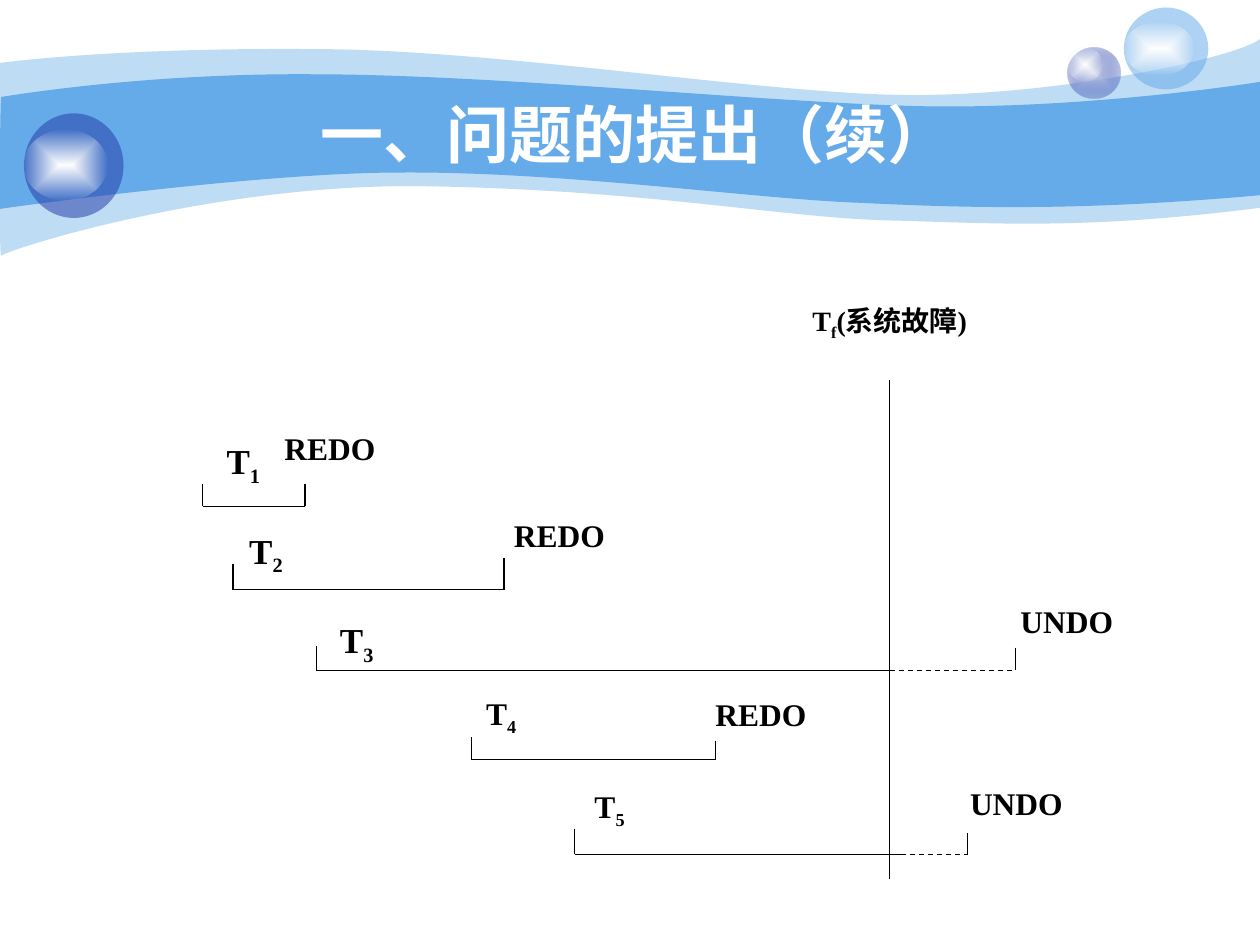
from lxml import etree
from pptx import Presentation
from pptx import util as u
from pptx.dml.color import RGBColor
from pptx.enum import dml, shapes, text
from pptx.oxml import ns

TITLE = "一、问题的提出（续）"
FONT = "Times New Roman"
BLUE, NAVY, WHITE, BLACK = "65AAE9", "233DA9", "FFFFFF", "000000"

# Wave outlines: a start point, then three points per curve or one per straight edge
PALE_WAVE = [
    (0, 0.5),
    [(0.24, 0.47), (1.07, 0.38), (2.47, 0.39)],
    [(3.86, 0.39), (5.75, 0.7), (6.99, 0.75)],
    [(8.22, 0.8), (9.8, 0.47), (10, 0.31)],
    [(10, 1.65)],
    [(8.58, 1.83), (7.87, 1.77), (7.05, 1.75)],
    [(6.22, 1.73), (5.15, 1.51), (3.43, 1.48)],
    [(1.72, 1.44), (0.04, 1.99), (0.01, 2.03)],
    [(-0.01, 2.08), (0, 0.75), (0, 0.5)],
]
BLUE_WAVE = [
    (0.01, 0.77),
    [(0.02, 0.77), (1.1, 0.58), (2.48, 0.59)],
    [(3.86, 0.59), (5.95, 0.8), (7.18, 0.84)],
    [(8.41, 0.88), (9.76, 0.69), (10, 0.65)],
    [(10, 1.55)],
    [(8.53, 1.68), (7.65, 1.65), (6.82, 1.61)],
    [(5.99, 1.58), (4.47, 1.36), (3.17, 1.37)],
    [(2.03, 1.37), (-0.02, 1.66), (-0.01, 1.66)],
    [(0, 1.66), (0, 0.77), (0.01, 0.77)],
]
WAVES = [(PALE_WAVE, 41), (BLUE_WAVE, 100)]

# Ball box, its colour stops as (colour, opacity), and the box of its highlight
BALLS = [
    ((8.47, 0.38, 0.42, 0.4), [("C7CEE9", 100), (NAVY, 31)], (8.47, 0.38, 0.28, 0.27)),
    ((8.92, 0.06, 0.67, 0.65), [(BLUE, 53)], (8.92, 0.17, 0.56, 0.43)),
    ((0.19, 0.9, 0.79, 0.83), [(NAVY, 53)], (0.19, 1.03, 0.66, 0.56)),
]
HIGHLIGHT = [(WHITE, 100), (WHITE, 0)]

FAILURE_X, FAILURE_TOP, FAILURE_BOTTOM = 7.06, 3.02, 6.98

# Baseline y, (x, top) of the start and end ticks, x where the line turns dashed
TRANSACTIONS = [
    (4.02, (1.61, 3.84), (2.42, 3.84), None),
    (4.68, (1.85, 4.48), (4, 4.43), None),
    (5.32, (2.51, 5.13), (8.06, 5.14), FAILURE_X),
    (6.03, (3.74, 5.85), (5.68, 5.88), None),
    (6.78, (4.56, 6.58), (7.68, 6.61), 7.15),
]

# Left, top, width, size, then the text as base, subscript, rest
LABELS = [
    (6.35, 2.36, 1.56, 16, ("T", "f", "(系统故障)")),
    (1.7, 3.44, 0.83, 20, ("T", "1", "")),
    (1.88, 4.15, 0.8, 20, ("T", "2", "")),
    (2.6, 4.86, 1.24, 20, ("T", "3", "")),
    (3.76, 5.46, 1.24, 18, ("T", "4", "")),
    (4.62, 6.2, 1.24, 18, ("T", "5", "")),
    (2.16, 3.36, 1.56, 18, ("REDO", "", "")),
    (3.98, 4.05, 1.24, 18, ("REDO", "", "")),
    (5.58, 5.47, 1.24, 18, ("REDO", "", "")),
    (8, 4.73, 1.11, 18, ("UNDO", "", "")),
    (7.6, 6.17, 1.02, 18, ("UNDO", "", "")),
]
LABEL_HEIGHT = 0.73


def rgb(value):
    return RGBColor.from_string(value)


def add_colour(parent, colour, opacity):
    element = etree.SubElement(parent, ns.qn("a:srgbClr"), val=colour)
    if opacity < 100:
        etree.SubElement(element, ns.qn("a:alpha"), val=str(opacity * 1000))


def paint(shape, stops):
    """Fill with one colour, or with a rectangular gradient from the centre out."""
    shape.shadow.inherit = False
    shape.line.fill.background()
    fill = etree.Element(ns.qn("a:solidFill" if len(stops) == 1 else "a:gradFill"))
    if len(stops) == 1:
        add_colour(fill, *stops[0])
    else:
        stop_list = etree.SubElement(fill, ns.qn("a:gsLst"))
        for position, stop in zip((0, 100000), stops):
            add_colour(etree.SubElement(stop_list, ns.qn("a:gs"), pos=str(position)), *stop)
        gradient = etree.SubElement(fill, ns.qn("a:path"), path="rect")
        etree.SubElement(gradient, ns.qn("a:fillToRect"), l="50000", t="50000", r="50000", b="50000")
    shape._element.spPr.find(ns.qn("a:ln")).addprevious(fill)


def add_wave(slide, outline, opacity):
    """Draw the outline as straight edges, then join each three into one Bézier curve."""
    start, *segments = outline
    points = [tuple(map(u.Inches, point)) for segment in segments for point in segment]
    builder = slide.shapes.build_freeform(*map(u.Inches, start))
    builder.add_line_segments(points, close=True)
    wave = builder.convert_to_shape()
    edges = iter(list(wave._element.iter(ns.qn("a:lnTo"))))
    for segment in segments:
        group = [next(edges) for _ in segment]
        if len(group) == 3:
            curve = etree.Element(ns.qn("a:cubicBezTo"))
            group[0].addprevious(curve)
            for edge in group:
                curve.append(edge[0])
                edge.getparent().remove(edge)
    paint(wave, [(BLUE, opacity)])


def add_ball(slide, box, stops):
    ball = slide.shapes.add_shape(shapes.MSO_SHAPE.OVAL, *map(u.Inches, box))
    paint(ball, stops)


def add_line(slide, x1, y1, x2, y2, width=0.75, dashed=False):
    line = slide.shapes.add_connector(
        shapes.MSO_CONNECTOR.STRAIGHT, *map(u.Inches, (x1, y1, x2, y2)))
    line.line.color.rgb = rgb(BLACK)
    line.line.width = u.Pt(width)
    if dashed:
        line.line.dash_style = dml.MSO_LINE.DASH
    etree.SubElement(line._element.spPr, ns.qn("a:effectLst"))


def add_transaction(slide, y, start, end, dash_x):
    for x, top in (start, end):
        add_line(slide, x, top, x, y)
    add_line(slide, start[0], y, dash_x or end[0], y)
    if dash_x:
        add_line(slide, dash_x, y, end[0], y, dashed=True)


def format_font(font, name, size, colour):
    for attribute, value in {"name": name, "size": u.Pt(size), "bold": True}.items():
        setattr(font, attribute, value)
    font.color.rgb = rgb(colour)


def add_label(slide, left, top, width, size, parts):
    box = slide.shapes.add_textbox(*map(u.Inches, (left, top, width, LABEL_HEIGHT)))
    box.text_frame.word_wrap = True
    paragraph = box.text_frame.paragraphs[0]
    for part, baseline in zip(parts, (0, -25000, 0)):
        if part:
            run = paragraph.add_run()
            run.text = part
            format_font(run.font, FONT, size, BLACK)
            if baseline:
                run._r.get_or_add_rPr().set("baseline", str(baseline))


def place_title(slide):
    title = slide.shapes.title
    box = {"left": 1, "top": 0.75, "width": 8.08, "height": 0.62}
    for attribute, value in box.items():
        setattr(title, attribute, u.Inches(value))
    frame = title.text_frame
    frame.text = TITLE
    frame.auto_size = text.MSO_AUTO_SIZE.NONE
    frame.vertical_anchor = text.MSO_ANCHOR.MIDDLE
    frame.paragraphs[0].alignment = text.PP_ALIGN.CENTER
    format_font(frame.paragraphs[0].runs[0].font, "Arial", 36, WHITE)
    slide.shapes._spTree.append(title._element)


def main():
    presentation = Presentation()
    presentation.slide_width, presentation.slide_height = u.Inches(10), u.Inches(7.5)
    slide = presentation.slides.add_slide(presentation.slide_layouts[5])
    for outline, opacity in WAVES:
        add_wave(slide, outline, opacity)
    for box, stops, highlight_box in BALLS:
        add_ball(slide, box, stops)
        add_ball(slide, highlight_box, HIGHLIGHT)
    place_title(slide)
    add_line(slide, FAILURE_X, FAILURE_TOP, FAILURE_X, FAILURE_BOTTOM, width=0.5)
    for transaction in TRANSACTIONS:
        add_transaction(slide, *transaction)
    for label in LABELS:
        add_label(slide, *label)
    presentation.save("out.pptx")


if __name__ == "__main__":
    main()
